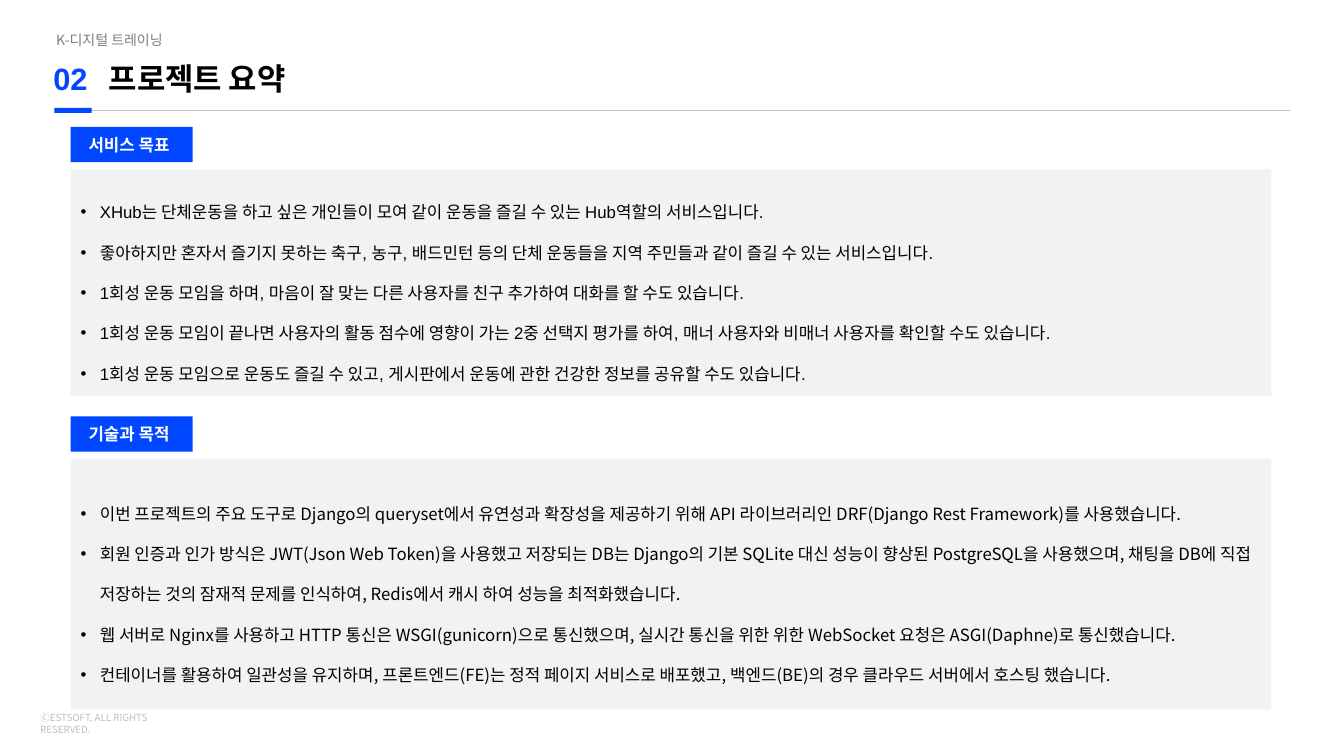
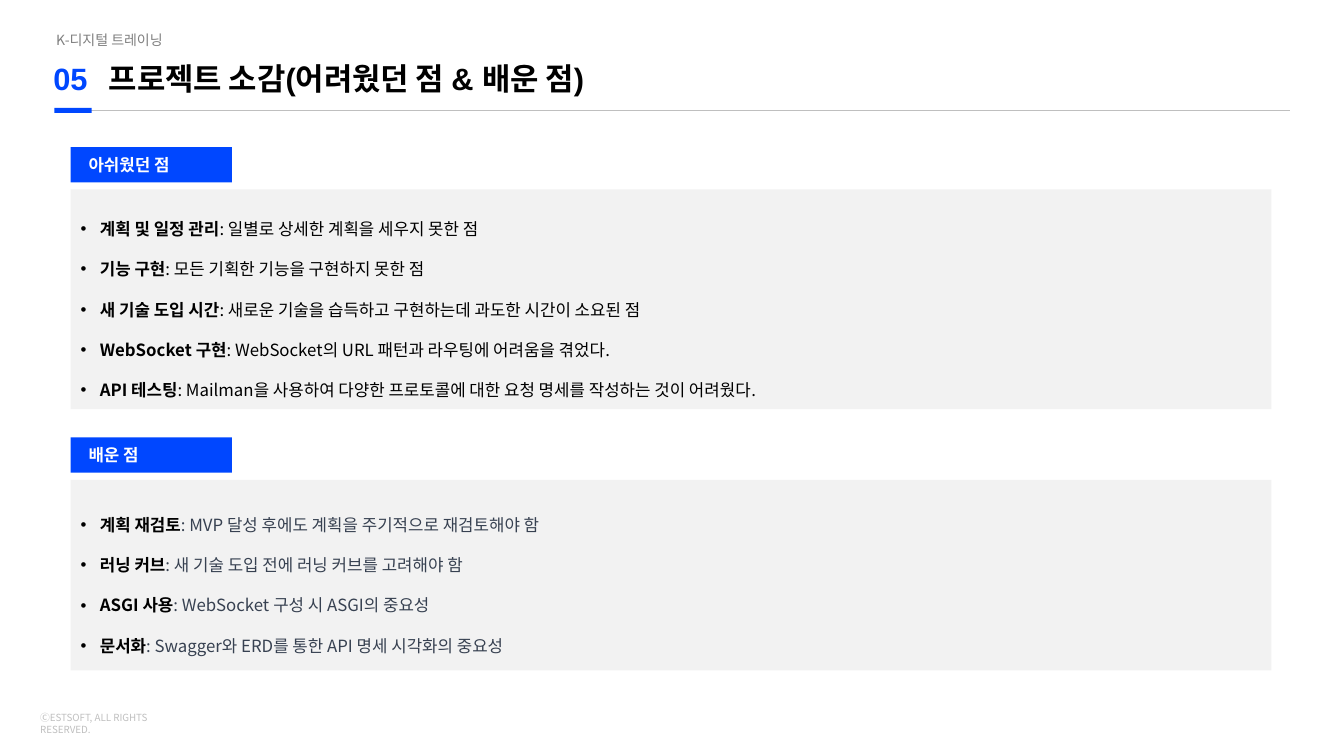
from dataclasses import dataclass

import lxml.etree
import pptx
import pptx.dml.color
import pptx.enum.shapes
import pptx.enum.text
import pptx.oxml.ns
import pptx.slide
import pptx.util
from pptx.util import Inches

BLUE, BLACK, WHITE = "0047FF", "000000", "FFFFFF"
SLATE, GRAY, SILVER, PANEL = "374151", "7F7F7F", "BFBFBF", "F2F2F2"
SANS, ARIAL = "Noto Sans CJK KR", "Arial"
LEFT, PANEL_WIDTH = 0.7, 11.91
TAG_HEIGHT, TAG_GAP = 0.35, 0.07


@dataclass
class Item:
    text: str
    label: str = ""


@dataclass
class Section:
    heading: str
    top: float
    panel_height: float
    items: list[Item]
    font: str = SANS
    color: str = BLACK


@dataclass
class Page:
    number: str
    title: str
    tag_width: float
    sections: list[Section]


PAGES = [
    Page("02", "프로젝트 요약", 1.21, [
        Section("서비스 목표", 1.26, 2.25, [
            Item("XHub는 단체운동을 하고 싶은 개인들이 모여 같이 운동을 즐길 수 있는 Hub역할의 서비스입니다."),
            Item("좋아하지만 혼자서 즐기지 못하는 축구, 농구, 배드민턴 등의 단체 운동들을 "
                 "지역 주민들과 같이 즐길 수 있는 서비스입니다."),
            Item("1회성 운동 모임을 하며, 마음이 잘 맞는 다른 사용자를 친구 추가하여 대화를 할 수도 있습니다."),
            Item("1회성 운동 모임이 끝나면 사용자의 활동 점수에 영향이 가는 2중 선택지 평가를 하여, "
                 "매너 사용자와 비매너 사용자를 확인할 수도 있습니다."),
            Item("1회성 운동 모임으로 운동도 즐길 수 있고, "
                 "게시판에서 운동에 관한 건강한 정보를 공유할 수도 있습니다."),
        ], font=ARIAL),
        Section("기술과 목적", 4.13, 2.49, [
            Item("이번 프로젝트의 주요 도구로 Django의 queryset에서 유연성과 확장성을 제공하기 위해 "
                 "API 라이브러리인 DRF(Django Rest Framework)를 사용했습니다."),
            Item("회원 인증과 인가 방식은 JWT(Json Web Token)을 사용했고 저장되는 DB는 Django의 기본 "
                 "SQLite 대신 성능이 향상된 PostgreSQL을 사용했으며, 채팅을 DB에 직접 저장하는 것의 "
                 "잠재적 문제를 인식하여, Redis에서 캐시 하여 성능을 최적화했습니다."),
            Item("웹 서버로 Nginx를 사용하고 HTTP 통신은 WSGI(gunicorn)으로 통신했으며, "
                 "실시간 통신을 위한 위한 WebSocket 요청은 ASGI(Daphne)로 통신했습니다."),
            Item("컨테이너를 활용하여 일관성을 유지하며, 프론트엔드(FE)는 정적 페이지 서비스로 배포했고, "
                 "백엔드(BE)의 경우 클라우드 서버에서 호스팅 했습니다."),
        ]),
    ]),
    Page("05", "프로젝트 소감(어려웠던 점 & 배운 점)", 1.6, [
        Section("아쉬웠던 점", 1.46, 2.18, [
            Item(": 일별로 상세한 계획을 세우지 못한 점", "계획 및 일정 관리"),
            Item(": 모든 기획한 기능을 구현하지 못한 점", "기능 구현"),
            Item(": 새로운 기술을 습득하고 구현하는데 과도한 시간이 소요된 점", "새 기술 도입 시간"),
            Item(": WebSocket의 URL 패턴과 라우팅에 어려움을 겪었다.", "WebSocket 구현"),
            Item(": Mailman을 사용하여 다양한 프로토콜에 대한 요청 명세를 작성하는 것이 어려웠다.",
                 "API 테스팅"),
        ]),
        Section("배운 점", 4.34, 1.89, [
            Item(": MVP 달성 후에도 계획을 주기적으로 재검토해야 함", "계획 재검토"),
            Item(": 새 기술 도입 전에 러닝 커브를 고려해야 함", "러닝 커브"),
            Item(": WebSocket 구성 시 ASGI의 중요성", "ASGI 사용"),
            Item(": Swagger와 ERD를 통한 API 명세 시각화의 중요성", "문서화"),
        ], color=SLATE),
    ]),
]


def rgb(color: str) -> pptx.dml.color.RGBColor:
    return pptx.dml.color.RGBColor.from_string(color)


def add_xml(parent, tag: str, **attributes: str):
    return lxml.etree.SubElement(parent, pptx.oxml.ns.qn(tag), attributes)


def format_paragraph(p, size: float, color: str, font: str = SANS, bold: bool = False) -> None:
    p.alignment = pptx.enum.text.PP_ALIGN.LEFT
    p.font.size = pptx.util.Pt(size)
    p.font.name = font
    p.font.bold = bold
    p.font.color.rgb = rgb(color)
    default = p._p.pPr.find(pptx.oxml.ns.qn("a:defRPr"))
    add_xml(default, "a:ea", typeface=SANS)


def set_indent(p, margin: float, first: float = 0) -> None:
    pPr = p._p.get_or_add_pPr()
    pPr.set("marL", str(Inches(margin)))
    pPr.set("indent", str(Inches(first)))


def place(sp, left: float, top: float, width: float, height: float) -> None:
    sp.left, sp.top = Inches(left), Inches(top)
    sp.width, sp.height = Inches(width), Inches(height)


def add_label(slide: pptx.slide.Slide, text: str, box: tuple[float, float, float, float],
              size: float, color: str, font: str = SANS, bold: bool = False) -> None:
    sp = slide.shapes.add_textbox(*map(Inches, box))
    sp.text_frame.word_wrap = True
    p = sp.text_frame.paragraphs[0]
    p.text = text
    format_paragraph(p, size, color, font, bold)


def add_block(slide: pptx.slide.Slide, left: float, top: float, width: float, height: float):
    """Add a plain blue rectangle."""
    sp = slide.shapes.add_shape(pptx.enum.shapes.MSO_SHAPE.RECTANGLE,
                                *map(Inches, (left, top, width, height)))
    sp.shadow.inherit = False
    sp.fill.solid()
    sp.fill.fore_color.rgb = rgb(BLUE)
    sp.line.fill.background()
    return sp


def add_header(slide: pptx.slide.Slide, page: Page) -> None:
    add_label(slide, "K-디지털 트레이닝", (0.46, 0.26, 1.6, 0.27), 10, GRAY)
    add_label(slide, page.number, (0.43, 0.54, 0.58, 0.47), 22, BLUE, ARIAL, True)

    title = slide.shapes.title
    place(title, 0.98, 0.54, 11.5, 0.47)
    tf = title.text_frame
    tf.text = page.title
    tf.auto_size = pptx.enum.text.MSO_AUTO_SIZE.NONE
    tf.vertical_anchor = pptx.enum.text.MSO_ANCHOR.TOP
    format_paragraph(tf.paragraphs[0], 22, BLACK, ARIAL, True)

    rule = slide.shapes.add_connector(pptx.enum.shapes.MSO_CONNECTOR.STRAIGHT,
                                      *map(Inches, (0.57, 1.1, 12.79, 1.1)))
    rule.line.color.rgb = rgb(SILVER)
    rule.line.width = pptx.util.Pt(0.75)
    add_xml(rule._element.spPr, "a:effectLst")
    add_block(slide, 0.54, 1.07, 0.37, 0.05)


def add_item(p, item: Item, section: Section) -> None:
    set_indent(p, 0.19, -0.19)
    p.line_spacing = 2.0
    p.space_before = p.space_after = pptx.util.Pt(0)
    pPr = p._p.get_or_add_pPr()
    add_xml(add_xml(pPr, "a:buClr"), "a:srgbClr", val=BLACK)
    add_xml(pPr, "a:buFont", typeface=ARIAL)
    add_xml(pPr, "a:buChar", char="•")
    format_paragraph(p, 12, section.color, section.font)
    if item.label:
        r = p.add_run()
        r.text = item.label
        r.font.bold = True
        r.font.color.rgb = rgb(BLACK)
    p.add_run().text = item.text


def add_section(slide: pptx.slide.Slide, section: Section, panel, tag_width: float) -> None:
    """Fill the body placeholder as a panel and put its heading tag above it."""
    place(panel, LEFT, section.top + TAG_HEIGHT + TAG_GAP, PANEL_WIDTH, section.panel_height)
    panel.fill.solid()
    panel.fill.fore_color.rgb = rgb(PANEL)
    tf = panel.text_frame
    tf.auto_size = pptx.enum.text.MSO_AUTO_SIZE.NONE
    tf.vertical_anchor = pptx.enum.text.MSO_ANCHOR.MIDDLE
    for i, item in enumerate(section.items):
        add_item(tf.add_paragraph() if i else tf.paragraphs[0], item, section)

    tag = add_block(slide, LEFT, section.top, tag_width, TAG_HEIGHT)
    tag.text_frame.vertical_anchor = pptx.enum.text.MSO_ANCHOR.MIDDLE
    p = tag.text_frame.paragraphs[0]
    p.text = section.heading
    set_indent(p, 0.08)
    format_paragraph(p, 12, WHITE, bold=True)


def main() -> None:
    prs = pptx.Presentation()
    prs.slide_width, prs.slide_height = Inches(13.33), Inches(7.5)
    two_content = prs.slide_layouts.get_by_name("Two Content")
    for page in PAGES:
        slide = prs.slides.add_slide(two_content)
        add_header(slide, page)
        for i, section in enumerate(page.sections, start=1):
            add_section(slide, section, slide.placeholders[i], page.tag_width)
        add_label(slide, "ⒸESTSOFT, ALL RIGHTS RESERVED.", (0.3, 7.01, 1.77, 0.22), 7, SILVER)
    prs.save("out.pptx")


if __name__ == "__main__":
    main()
